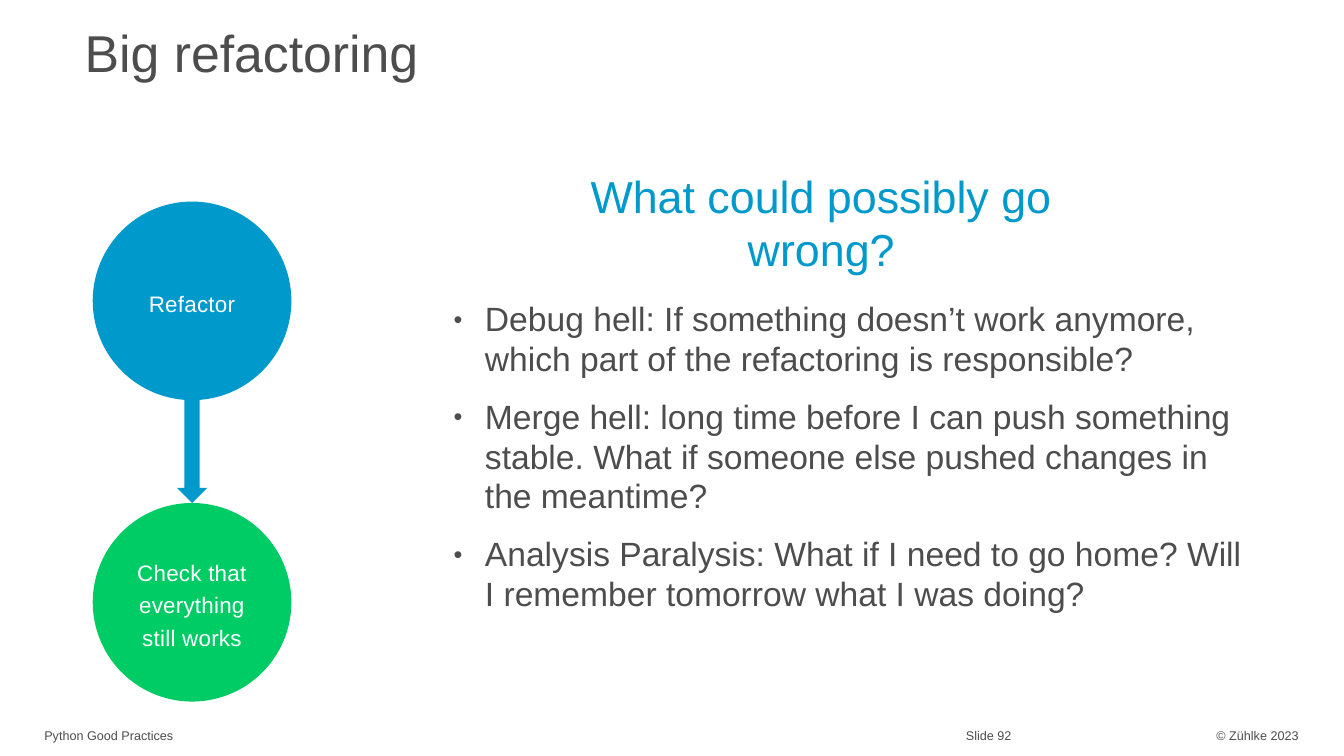
"""Build the slide on the risks of a big refactoring."""
from lxml.etree import SubElement
from pptx import Presentation
from pptx.dml.color import RGBColor
from pptx.enum.shapes import MSO_SHAPE
from pptx.enum.text import MSO_ANCHOR, MSO_AUTO_SIZE, PP_ALIGN
from pptx.oxml.ns import qn
from pptx.util import Inches, Pt

GREY = RGBColor(0x4D, 0x4D, 0x4D)
BLUE = RGBColor(0x00, 0x99, 0xCC)
GREEN = RGBColor(0x00, 0xCC, 0x66)
WHITE = RGBColor(0xFF, 0xFF, 0xFF)

CIRCLE_LEFT, CIRCLE_SIZE = 0.92, 1.97
REFACTOR_TOP, CHECK_TOP = 2, 4.99
ARROW_WIDTH = 0.3

RISKS = [
    "Debug hell: If something doesn’t work anymore, which part of the refactoring is responsible?",
    "Merge hell: long time before I can push something stable. "
    "What if someone else pushed changes in the meantime?",
    "Analysis Paralysis: What if I need to go home? Will I remember tomorrow what I was doing?",
]
FOOTERS = [
    ("Python Good Practices", 0.44, 4.8, PP_ALIGN.LEFT),
    ("Slide 92", 9.58, 1.66, PP_ALIGN.LEFT),
    ("© Zühlke 2023", 11.34, 1.54, PP_ALIGN.RIGHT),
]


class SlideBuilder:
    def __init__(self, slide, font_name):
        self.slide = slide
        self.font_name = font_name

    def fill_text(self, shape, lines, size, color, align=PP_ALIGN.LEFT,
                  anchor=MSO_ANCHOR.TOP, line_spacing=1.0):
        frame = shape.text_frame
        frame.text = "\n".join(lines)
        frame.word_wrap = True
        frame.auto_size = MSO_AUTO_SIZE.NONE
        frame.vertical_anchor = anchor
        frame.margin_left = frame.margin_right = 0
        frame.margin_top = frame.margin_bottom = 0
        for paragraph in frame.paragraphs:
            paragraph.alignment = align
            paragraph.line_spacing = line_spacing
            for run in paragraph.runs:
                run.font.name = self.font_name
                run.font.size = Pt(size)
                run.font.color.rgb = color

    def title(self, text, left, top, width, height):
        shape = self.slide.shapes.title
        shape.left, shape.top = Inches(left), Inches(top)
        shape.width, shape.height = Inches(width), Inches(height)
        self.fill_text(shape, [text], 37, GREY, line_spacing=0.98)

    def text(self, lines, left, top, width, height, size, color, **style):
        shape = self.slide.shapes.add_textbox(
            Inches(left), Inches(top), Inches(width), Inches(height))
        self.fill_text(shape, lines, size, color, **style)
        return shape

    def bullets(self, lines, left, top, width, height):
        shape = self.text(lines, left, top, width, height, 24, GREY, line_spacing=0.98)
        for index, paragraph in enumerate(shape.text_frame.paragraphs):
            if index:
                paragraph.space_before = Pt(13.2)
            properties = paragraph._p.get_or_add_pPr()
            properties.set("marL", str(Inches(0.31)))
            properties.set("indent", str(Inches(-0.31)))
            SubElement(properties, qn("a:buSzPct")).set("val", "75000")
            SubElement(properties, qn("a:buFont")).set("typeface", self.font_name)
            SubElement(properties, qn("a:buChar")).set("char", "•")

    def shape(self, kind, left, top, width, height, color):
        shape = self.slide.shapes.add_shape(
            kind, Inches(left), Inches(top), Inches(width), Inches(height))
        shape.shadow.inherit = False
        shape.fill.solid()
        shape.fill.fore_color.rgb = color
        shape.line.fill.background()
        return shape

    def circle(self, text, top, color):
        shape = self.shape(MSO_SHAPE.OVAL, CIRCLE_LEFT, top, CIRCLE_SIZE, CIRCLE_SIZE, color)
        self.fill_text(shape, [text], 16, WHITE, PP_ALIGN.CENTER, MSO_ANCHOR.MIDDLE, 1.2)
        for run in shape.text_frame.paragraphs[0].runs:
            run._r.get_or_add_rPr().set("spc", "20")


def main():
    presentation = Presentation()
    presentation.slide_width = Inches(13.33)
    presentation.slide_height = Inches(7.5)
    slide = presentation.slides.add_slide(presentation.slide_layouts[5])
    builder = SlideBuilder(slide, "Arial")

    for text, left, width, align in FOOTERS:
        builder.text([text], left, 7.22, width, 0.16, 9, GREY, align=align)
    builder.title("Big refactoring", 0.84, 0.24, 12.27, 0.78)
    builder.bullets(RISKS, 4.5, 2.98, 7.91, 3.16)

    builder.circle("Check that everything still works", CHECK_TOP, GREEN)
    builder.circle("Refactor", REFACTOR_TOP, BLUE)
    arrow_left = CIRCLE_LEFT + (CIRCLE_SIZE - ARROW_WIDTH) / 2
    arrow_top = REFACTOR_TOP + CIRCLE_SIZE
    builder.shape(MSO_SHAPE.DOWN_ARROW, arrow_left, arrow_top,
                  ARROW_WIDTH, CHECK_TOP - arrow_top, BLUE)

    builder.text(["What could possibly go wrong?"], 5.1, 1.67, 6.09, 0.66,
                 32, BLUE, align=PP_ALIGN.CENTER)
    presentation.save("out.pptx")


if __name__ == "__main__":
    main()
